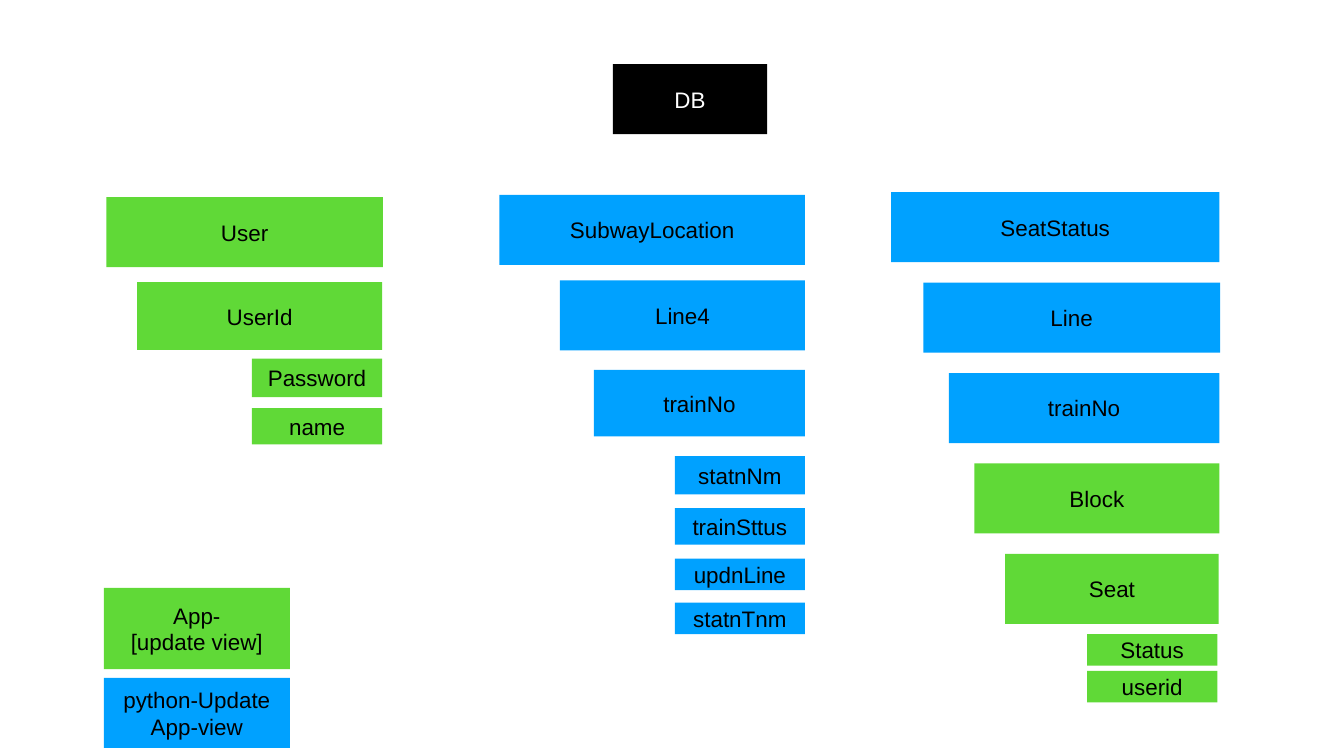
from dataclasses import dataclass

from pptx import Presentation
from pptx.dml.color import RGBColor
from pptx.enum import shapes, text
from pptx.util import Pt

COLOURS = {"root": "000000", "app": "60D937", "python": "00A1FF",
           "dark_text": "000000", "light_text": "FFFFFF"}
FIELD_WIDTH = 186
KEY_WIDTH = 350
ROW_HEIGHT = 100
SEAT_TOP, SEAT_PITCH = 274.5, 129.2


@dataclass
class Node:
    """A box whose right edge hangs from its column, less an inset."""
    label: str
    top: float
    width: float = FIELD_WIDTH
    height: float = ROW_HEIGHT
    owner: str = "python"
    inset: float = 0


@dataclass
class Column:
    """Boxes that share a right edge."""
    right: float
    nodes: list[Node]


def seat_level(level: int, label: str, width: float,
               owner: str = "python", inset: float = 0) -> Node:
    """Return one evenly spaced level of the SeatStatus tree."""
    return Node(label, SEAT_TOP + level * SEAT_PITCH, width,
                owner=owner, inset=inset)


COLUMNS = [
    Column(1096, [Node("DB", 91.5, 220.5, owner="root")]),
    Column(546, [
        Node("User", 281.5, 395, owner="app", inset=-1),
        Node("UserId", 403, KEY_WIDTH, 97, "app"),
        Node("Password", 512.5, height=55, owner="app"),
        Node("name", 583, height=52, owner="app"),
    ]),
    Column(1150, [
        Node("SubwayLocation", 278.5, 436.5),
        Node("Line4", 400.5, KEY_WIDTH),
        Node("trainNo", 528.5, 301.5, 95),
        Node("statnNm", 651.5, height=55),
        Node("trainSttus", 726, height=52),
        Node("updnLine", 798, height=45),
        Node("statnTnm", 861, height=45),
    ]),
    Column(1742, [
        seat_level(0, "SeatStatus", 469),
        seat_level(1, "Line", 424, inset=-1),
        seat_level(2, "trainNo", 386.5),
        seat_level(3, "Block", KEY_WIDTH, "app"),
        seat_level(4, "Seat", 305, "app", 1),
        Node("Status", 906, height=45, owner="app", inset=3),
        Node("userid", 958.5, height=45, owner="app", inset=3),
    ]),
    Column(414, [
        Node("App-\n[update view]", 840, 265.5, 116, "app"),
        Node("python-Update\nApp-view", 968.5, 265.5),
    ]),
]


def draw_node(slide, node: Node, right: float) -> None:
    """Draw one filled box with its centred label."""
    left = right - node.inset - node.width
    shape = slide.shapes.add_shape(
        shapes.MSO_SHAPE.RECTANGLE,
        Pt(left), Pt(node.top), Pt(node.width), Pt(node.height))
    shape.shadow.inherit = False
    shape.fill.solid()
    shape.fill.fore_color.rgb = RGBColor.from_string(COLOURS[node.owner])
    shape.line.fill.background()

    frame = shape.text_frame
    frame.word_wrap = True
    frame.vertical_anchor = text.MSO_ANCHOR.MIDDLE
    frame.margin_left = frame.margin_right = Pt(4)
    frame.margin_top = frame.margin_bottom = Pt(4)
    frame.text = node.label
    text_colour = "light_text" if node.owner == "root" else "dark_text"
    for paragraph in frame.paragraphs:
        paragraph.alignment = text.PP_ALIGN.CENTER
        paragraph.font.name = "Arial"
        paragraph.font.size = Pt(32)
        paragraph.font.color.rgb = RGBColor.from_string(COLOURS[text_colour])


def main() -> None:
    """Build the database structure slide."""
    presentation = Presentation()
    presentation.slide_width = Pt(1920)
    presentation.slide_height = Pt(1080)
    slide = presentation.slides.add_slide(presentation.slide_layouts[6])
    for column in COLUMNS:
        for node in column.nodes:
            draw_node(slide, node, column.right)
    presentation.save("out.pptx")


main()
